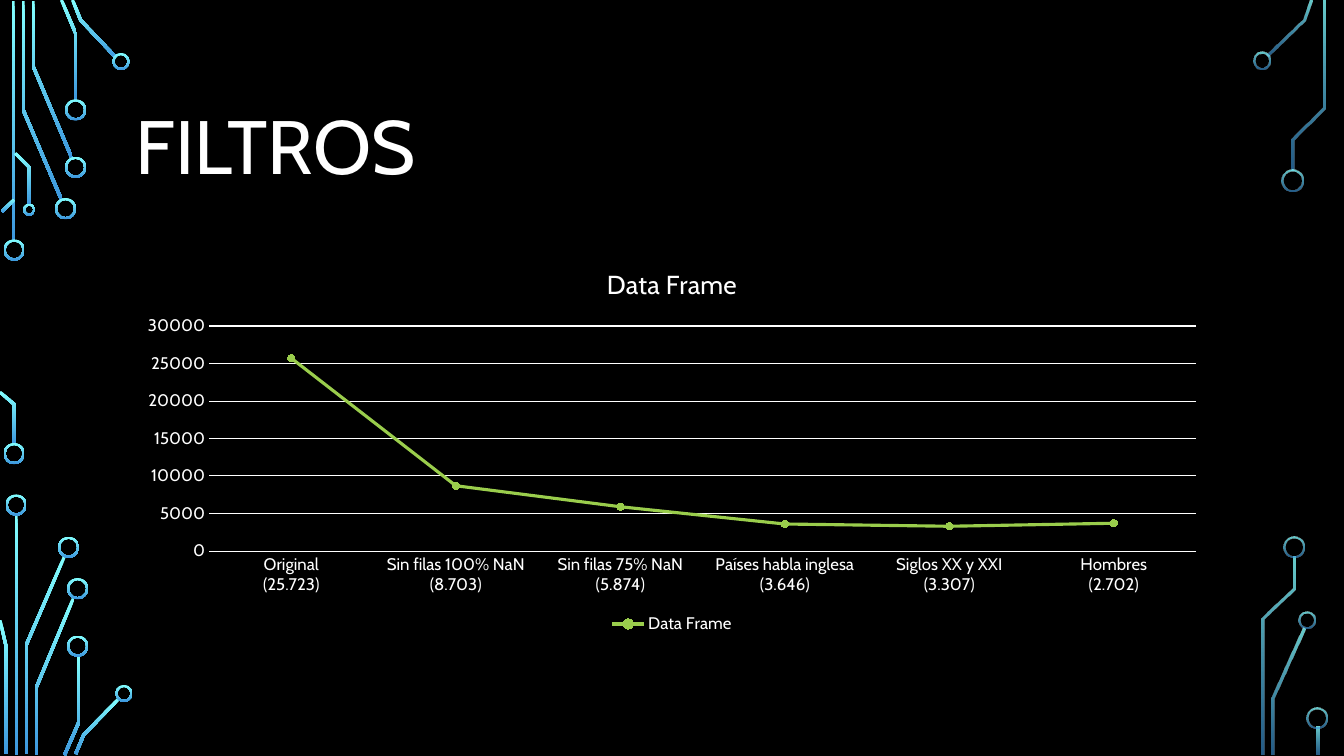
from dataclasses import dataclass
from math import hypot

from lxml import etree
from pptx import Presentation
from pptx.chart.data import CategoryChartData
from pptx.dml.color import RGBColor
from pptx.enum.chart import XL_CHART_TYPE, XL_LEGEND_POSITION, XL_MARKER_STYLE, XL_TICK_MARK
from pptx.enum.shapes import MSO_SHAPE
from pptx.enum.text import MSO_ANCHOR
from pptx.oxml.ns import qn
from pptx.util import Inches, Pt

LINE_MARKERS = XL_CHART_TYPE.LINE_MARKERS
LEGEND_BOTTOM = XL_LEGEND_POSITION.BOTTOM
CIRCLE = XL_MARKER_STYLE.CIRCLE
NO_TICK = XL_TICK_MARK.NONE
DONUT = MSO_SHAPE.DONUT
MIDDLE = MSO_ANCHOR.MIDDLE


@dataclass(frozen=True)
class Theme:
    font: str = "Cabin"
    background: RGBColor = RGBColor(0x00, 0x00, 0x00)
    text: RGBColor = RGBColor(0xFF, 0xFF, 0xFF)
    series: RGBColor = RGBColor(0x9A, 0xCD, 0x4C)
    trace_top: RGBColor = RGBColor(0x82, 0xFF, 0xFF)
    trace_bottom: RGBColor = RGBColor(0x3D, 0x97, 0xDE)
    title_size: float = 54
    chart_title_size: float = 18.6
    label_size: float = 12
    trace_width: float = 0.03
    ring_width: float = 0.02


# Circuit traces: centre lines and rings (centre x, centre y, diameter)
LEFT_TRACES = [
    [(0.13, 0.01), (0.13, 2.4)],
    [(0.61, 1.98), (0.23, 1.09), (0.23, 0.01)],
    [(0.71, 1.56), (0.33, 0.66), (0.33, 0.01)],
    [(0.61, 0), (0.75, 0.33), (0.75, 1)],
    [(0.72, 0), (0.8, 0.2), (1.15, 0.57)],
    [(0.02, 2.1), (0.14, 1.98)],
    [(0, 3.89), (0.14, 4.01), (0.14, 4.41)],
    [(0.15, 1.52), (0.29, 1.66), (0.29, 2.03)],
    [(0.16, 5.1), (0.16, 7.49)],
    [(0.64, 5.52), (0.26, 6.4), (0.26, 7.48)],
    [(0, 6.15), (0.06, 6.41), (0.06, 7.48)],
    [(0.73, 5.93), (0.36, 6.82), (0.36, 7.49)],
    [(0.78, 6.5), (0.78, 7.17), (0.64, 7.49)],
    [(1.18, 6.93), (0.83, 7.29), (0.75, 7.48)],
]
LEFT_RINGS = [
    (0.14, 2.48, 0.21), (0.14, 4.5, 0.21), (0.65, 2.07, 0.21), (0.75, 1.66, 0.21),
    (0.75, 1.09, 0.21), (1.2, 0.61, 0.17), (0.29, 2.08, 0.12), (0.16, 5.01, 0.21),
    (0.68, 5.43, 0.21), (0.77, 5.84, 0.21), (0.77, 6.41, 0.21), (1.23, 6.88, 0.17),
]
RIGHT_TRACES = [
    [(12.57, 0.55), (12.93, 0.2), (13, 0)],
    [(12.93, 6.23), (12.63, 6.93), (12.63, 7.49)],
    [(12.82, 1.69), (12.82, 1.38), (13.13, 1.07), (13.13, 0.01)],
    [(12.83, 5.52), (12.83, 5.84), (12.53, 6.14), (12.53, 7.49)],
    [(13.07, 7.21), (13.07, 7.49)],
]
RIGHT_RINGS = [
    (12.52, 0.6, 0.17), (12.82, 1.79, 0.21), (12.96, 6.15, 0.17),
    (12.83, 5.43, 0.21), (13.06, 7.12, 0.21),
]

FILTER_STEPS = [
    ("Original\n(25.723)", 25700),
    ("Sin filas 100% NaN\n(8.703)", 8700),
    ("Sin filas 75% NaN\n(5.874)", 5900),
    ("Países habla inglesa\n(3.646)", 3600),
    ("Siglos XX y XXI\n(3.307)", 3300),
    ("Hombres\n(2.702)", 3700),
]


def ribbon_outline(points, width):
    """Outline of a band of constant width along a polyline, with mitred bends."""
    normals = []
    for (x1, y1), (x2, y2) in zip(points, points[1:]):
        length = hypot(x2 - x1, y2 - y1)
        normals.append(((y1 - y2) / length, (x2 - x1) / length))
    one_side, other_side = [], []
    for (x, y), (ax, ay), (bx, by) in zip(points, normals[:1] + normals, normals + normals[-1:]):
        scale = width / 2 / (1 + ax * bx + ay * by)
        dx, dy = (ax + bx) * scale, (ay + by) * scale
        one_side.append((Inches(x + dx), Inches(y + dy)))
        other_side.append((Inches(x - dx), Inches(y - dy)))
    return one_side + other_side[::-1]


class SlideBuilder:
    def __init__(self, page, theme):
        self.page = page
        self.theme = theme
        page.background.fill.solid()
        page.background.fill.fore_color.rgb = theme.background

    def style_font(self, font, size):
        font.name = self.theme.font
        font.size = Pt(size)
        font.bold = False
        font.color.rgb = self.theme.text

    def set_text(self, frame, text, *, size, spacing=None):
        para = frame.paragraphs[0]
        if spacing:
            para.line_spacing = spacing
        span = para.add_run()
        span.text = text
        self.style_font(span.font, size)

    def title(self, text, left, top, width, height):
        box = self.page.shapes.add_textbox(Inches(left), Inches(top), Inches(width), Inches(height))
        frame = box.text_frame
        frame.word_wrap = True
        frame.vertical_anchor = MIDDLE
        self.set_text(frame, text, size=self.theme.title_size, spacing=0.9)

    def glow(self, shape, opacities):
        """Vertical gradient fill, no outline, no shadow."""
        shape.shadow.inherit = False
        shape.line.fill.background()
        shape.fill.gradient()
        shape.fill.gradient_angle = 270
        colors = (self.theme.trace_top, self.theme.trace_bottom)
        for stop, color in zip(shape.fill.gradient_stops, colors):
            stop.color.rgb = color
        for color, opacity in zip(shape.element.spPr.iter(qn("a:srgbClr")), opacities):
            if opacity < 100:
                etree.SubElement(color, qn("a:alpha")).set("val", str(opacity * 1000))

    def trace(self, points, opacities):
        outline = ribbon_outline(points, self.theme.trace_width)
        builder = self.page.shapes.build_freeform(*outline[0])
        builder.add_line_segments(outline[1:], close=True)
        self.glow(builder.convert_to_shape(), opacities)

    def ring(self, x, y, diameter, opacities):
        size = Inches(diameter)
        corner = Inches(x - diameter / 2), Inches(y - diameter / 2)
        shape = self.page.shapes.add_shape(DONUT, *corner, size, size)
        shape.adjustments[0] = self.theme.ring_width / diameter
        self.glow(shape, opacities)

    def circuit(self, traces, rings, opacities=(100, 100)):
        for points in traces:
            self.trace(points, opacities)
        for ring in rings:
            self.ring(*ring, opacities)

    def line_chart(self, name, steps, left, top, width, height):
        theme = self.theme
        data = CategoryChartData()
        data.categories = [label for label, _ in steps]
        data.add_series(name, [count for _, count in steps])
        chart = self.page.shapes.add_chart(
            LINE_MARKERS, Inches(left), Inches(top), Inches(width), Inches(height), data).chart
        self.style_font(chart.font, theme.label_size)

        # Title and legend
        chart.has_title = True
        self.set_text(chart.chart_title.text_frame, name, size=theme.chart_title_size)
        chart.chart_title.include_in_layout = False
        chart.has_legend = True
        chart.legend.position = LEGEND_BOTTOM
        chart.legend.include_in_layout = False
        self.style_font(chart.legend.font, theme.label_size)

        # Axes
        values, categories = chart.value_axis, chart.category_axis
        for axis in (values, categories):
            axis.major_tick_mark = axis.minor_tick_mark = NO_TICK
            self.style_font(axis.tick_labels.font, theme.label_size)
        values.has_major_gridlines = True
        values.format.line.fill.background()
        for line in (values.major_gridlines.format.line, categories.format.line):
            line.color.rgb = theme.text
            line.width = Pt(0.75)

        # Series
        chart.plots[0].vary_by_categories = False
        series = chart.plots[0].series[0]
        series.smooth = False
        series.format.line.color.rgb = theme.series
        series.format.line.width = Pt(2.25)
        series.marker.style = CIRCLE
        series.marker.size = 5
        series.marker.format.fill.solid()
        series.marker.format.fill.fore_color.rgb = theme.series
        series.marker.format.line.color.rgb = theme.series


def main():
    deck = Presentation()
    deck.slide_width, deck.slide_height = Inches(13.33), Inches(7.5)
    slide = SlideBuilder(deck.slides.add_slide(deck.slide_layouts[6]), Theme())

    # Decoration on both edges
    slide.circuit(LEFT_TRACES, LEFT_RINGS)
    slide.circuit(RIGHT_TRACES, RIGHT_RINGS, opacities=(80, 60))

    # Content
    slide.title("FILTROS", 1.25, 0.68, 10.83, 1.62)
    slide.line_chart("Data Frame", FILTER_STEPS, 1.25, 2.46, 10.83, 3.87)
    deck.save("out.pptx")


if __name__ == "__main__":
    main()
